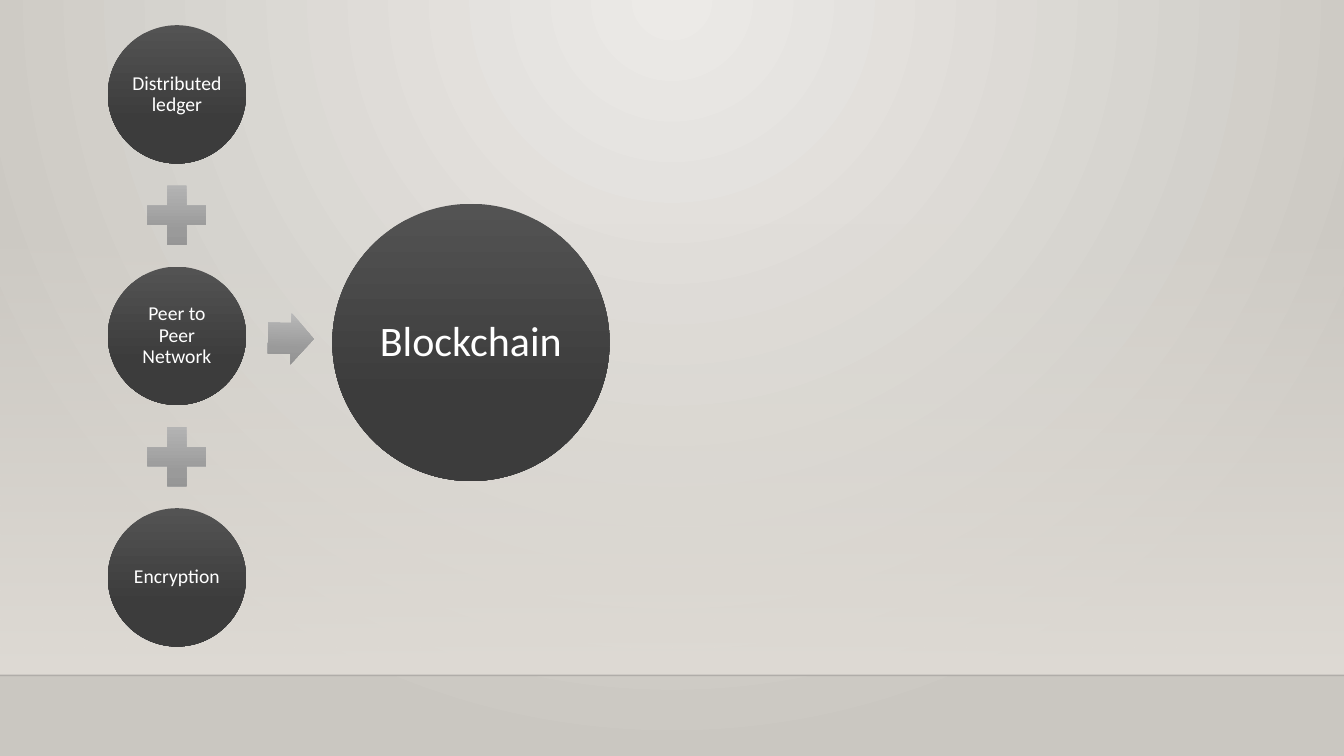
import pptx
import pptx.util
import pptx.dml.color
import pptx.enum.shapes
import pptx.enum.text
import pptx.oxml
import pptx.oxml.ns
from lxml import etree

Pt = pptx.util.Pt
MSO = pptx.enum.shapes.MSO_SHAPE
qn = pptx.oxml.ns.qn

WIDTH, HEIGHT = 960, 540
HORIZON = 482.4
DARK = [(0, "535353", 100), (69, "3C3C3C", 100), (100, "393939", 100)]
GREY = [(0, "BABABA", 100), (69, "9A9A9A", 100), (100, "929292", 100)]
DOWN = '<a:lin ang="5400000" scaled="0"/>'
FROM_TOP = ('<a:path path="circle">'
            '<a:fillToRect l="43000" t="0" r="43000" b="100000"/></a:path>')


def color(value):
    """Return an RGB colour from a hex string."""
    return pptx.dml.color.RGBColor.from_string(value)


def set_gradient(props, stops, direction=DOWN):
    """Replace the solid fill in props by a gradient of (position, colour, opacity)."""
    gs = "".join(
        f'<a:gs pos="{pos * 1000}"><a:srgbClr val="{rgb}">'
        f'<a:alpha val="{opacity * 1000}"/></a:srgbClr></a:gs>'
        for pos, rgb, opacity in stops)
    xml = (f'<a:gradFill {pptx.oxml.ns.nsdecls("a")} rotWithShape="1">'
           f'<a:gsLst>{gs}</a:gsLst>{direction}</a:gradFill>')
    props.replace(props.find(qn("a:solidFill")), pptx.oxml.parse_xml(xml))


def add_shape(s, kind, x, y, w, h, stops):
    """Add a borderless preset shape with a vertical gradient."""
    sp = s.shapes.add_shape(kind, Pt(x), Pt(y), Pt(w), Pt(h))
    sp.shadow.inherit = False
    sp.line.fill.background()
    sp.fill.solid()
    set_gradient(sp.element.spPr, stops)
    return sp


def add_circle(s, x, y, size, text, font_size, inset):
    """Add a dark circle with centred white text."""
    sp = add_shape(s, MSO.OVAL, x, y, size, size, DARK)
    tf = sp.text_frame
    tf.word_wrap = True
    tf.vertical_anchor = pptx.enum.text.MSO_ANCHOR.MIDDLE
    tf.margin_left = tf.margin_right = tf.margin_top = tf.margin_bottom = Pt(inset)
    p = tf.paragraphs[0]
    p.text = text
    p.alignment = pptx.enum.text.PP_ALIGN.CENTER
    p.line_spacing = 0.9
    p.font.name = "Calibri"
    p.font.size = Pt(font_size)
    p.font.color.rgb = color("FFFFFF")


def add_backdrop(s):
    """Paint the wall, the floor and the thin line between them."""
    s.background.fill.solid()
    set_gradient(s.element.find(".//" + qn("p:bgPr")),
                 [(0, "ECEAE7", 100), (100, "CAC7C1", 100)], FROM_TOP)
    add_shape(s, MSO.RECTANGLE, 0, 159, WIDTH, HORIZON - 159,
              [(0, "DFDBD5", 0), (100, "DFDBD5", 100)])
    line = s.shapes.add_connector(pptx.enum.shapes.MSO_CONNECTOR.STRAIGHT,
                                  Pt(0), Pt(HORIZON), Pt(WIDTH), Pt(HORIZON))
    line.line.width = Pt(1)
    line.line.color.rgb = color("000001")
    rgb = line.element.spPr.find(".//" + qn("a:srgbClr"))
    etree.SubElement(rgb, qn("a:alpha")).set("val", "20000")
    etree.SubElement(line.element.spPr, qn("a:effectLst"))


def add_equation(s):
    """Add the column of parts joined by plus signs, the arrow and the result."""
    left, top, size, step, plus = 77, 18, 98.8, 172.5, 57.3
    parts = ["Distributed ledger", "Peer to Peer Network", "Encryption"]
    for i, text in enumerate(parts):
        y = top + i * step
        if i:
            add_shape(s, MSO.MATH_PLUS, left + (size - plus) / 2,
                      y - (step - size + plus) / 2, plus, plus, GREY)
        add_circle(s, left, y, size, text, 14, 1.4)
    arrow = add_shape(s, MSO.RIGHT_ARROW, 191.5, 223.4, 32.6, 36.8, GREY)
    arrow.adjustments[0] = 0.6
    arrow.adjustments[1] = 0.5
    arrow.rotation = 1.3
    add_circle(s, 237.4, 145.6, 198, "Blockchain", 30, 3)


def main():
    """Build the slide and save it."""
    prs = pptx.Presentation()
    prs.slide_width, prs.slide_height = Pt(WIDTH), Pt(HEIGHT)
    s = prs.slides.add_slide(prs.slide_layouts[6])
    add_backdrop(s)
    add_equation(s)
    prs.save("out.pptx")


main()
